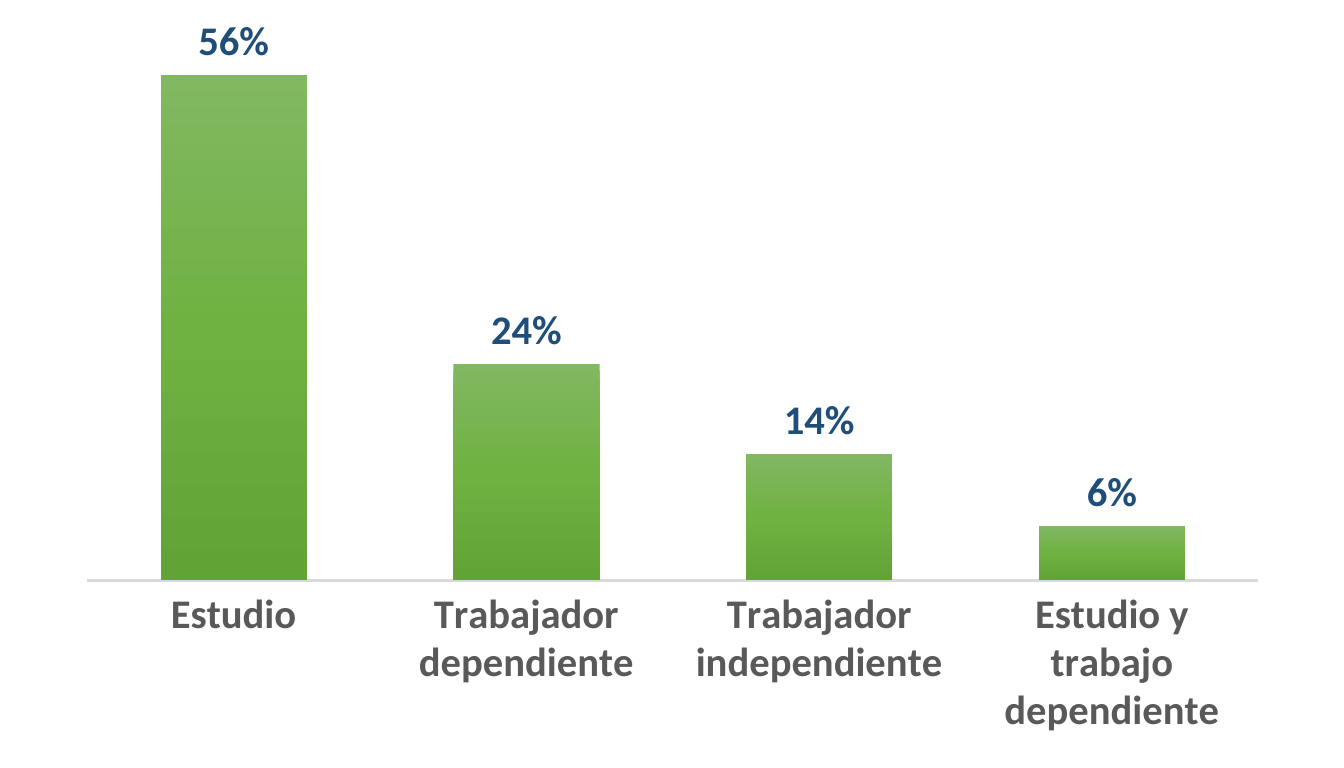
"""Build a slide with a column chart of main activities."""
from copy import deepcopy

from lxml.etree import SubElement
from pptx import Presentation
from pptx.chart.data import CategoryChartData
from pptx.dml.color import RGBColor
from pptx.enum.chart import XL_CHART_TYPE, XL_LABEL_POSITION, XL_TICK_MARK
from pptx.oxml import parse_xml
from pptx.oxml.ns import nsdecls, qn
from pptx.util import Pt

PIXEL = 914400 / 243.9
GREY = RGBColor(0x59, 0x59, 0x59)
LIGHT_GREY = RGBColor(0xD9, 0xD9, 0xD9)
NAVY = RGBColor(0x1F, 0x4E, 0x79)
BLACK = RGBColor(0x00, 0x00, 0x00)
GREENS = [
    RGBColor(0x81, 0xB8, 0x61),
    RGBColor(0x6F, 0xB2, 0x42),
    RGBColor(0x62, 0xA3, 0x36),
]
ACTIVITIES = {
    "Estudio": 0.56,
    "Trabajador dependiente": 0.24,
    "Trabajador independiente": 0.14,
    "Estudio y trabajo dependiente": 0.06,
}


def format_text(text, *, size=12, color=GREY, bold=True):
    text.font.name = "Calibri"
    text.font.size = Pt(size)
    text.font.bold = bold
    text.font.color.rgb = color


presentation = Presentation()
presentation.slide_width = round(1344 * PIXEL)
presentation.slide_height = round(768 * PIXEL)
slide = presentation.slides.add_slide(presentation.slide_layouts[6])

chart_data = CategoryChartData(number_format="0%")
chart_data.categories = list(ACTIVITIES)
chart_data.add_series("Series 1", list(ACTIVITIES.values()))
frame = [round(length * PIXEL) for length in (63, 17, 1220, 732)]
chart = slide.shapes.add_chart(XL_CHART_TYPE.COLUMN_CLUSTERED, *frame, chart_data).chart
chart.has_legend = False
chart.has_title = False
format_text(chart, size=10, color=BLACK, bold=False)

category_axis = chart.category_axis
category_axis.major_tick_mark = XL_TICK_MARK.NONE
category_axis.format.line.color.rgb = LIGHT_GREY
category_axis.format.line.width = Pt(1)
format_text(category_axis.tick_labels)

value_axis = chart.value_axis
value_axis.visible = False
value_axis.has_major_gridlines = False
value_axis.minimum_scale = 0
value_axis.maximum_scale = 0.6

plot = chart.plots[0]
plot.gap_width = 100
plot.overlap = -24
plot.vary_by_categories = False
plot.has_data_labels = True
labels = plot.data_labels
labels.show_value = True
labels.number_format = "0%"
labels.number_format_is_linked = False
labels.position = XL_LABEL_POSITION.OUTSIDE_END
format_text(labels, color=NAVY)

fill = plot.series[0].format.fill
fill.gradient()
fill.gradient_angle = 270
stop_list = plot.series[0]._element.find(".//" + qn("a:gsLst"))
stop_list.append(deepcopy(stop_list[0]))
for index, (stop, green) in enumerate(zip(fill.gradient_stops, GREENS)):
    stop.position = index / 2
    stop.color.rgb = green

plot_area = chart._chartSpace.find(".//" + qn("c:plotArea"))
for old_layout in plot_area.findall(qn("c:layout")):
    plot_area.remove(old_layout)
layout = parse_xml(f"<c:layout {nsdecls('c')}><c:manualLayout/></c:layout>")
plot_area.insert(0, layout)
settings = {
    "layoutTarget": "inner", "xMode": "edge", "yMode": "edge",
    "x": "0.02", "y": "0.03", "w": "0.96", "h": "0.74",
}
for name, value in settings.items():
    SubElement(layout[0], qn(f"c:{name}")).set("val", value)

presentation.save("out.pptx")
